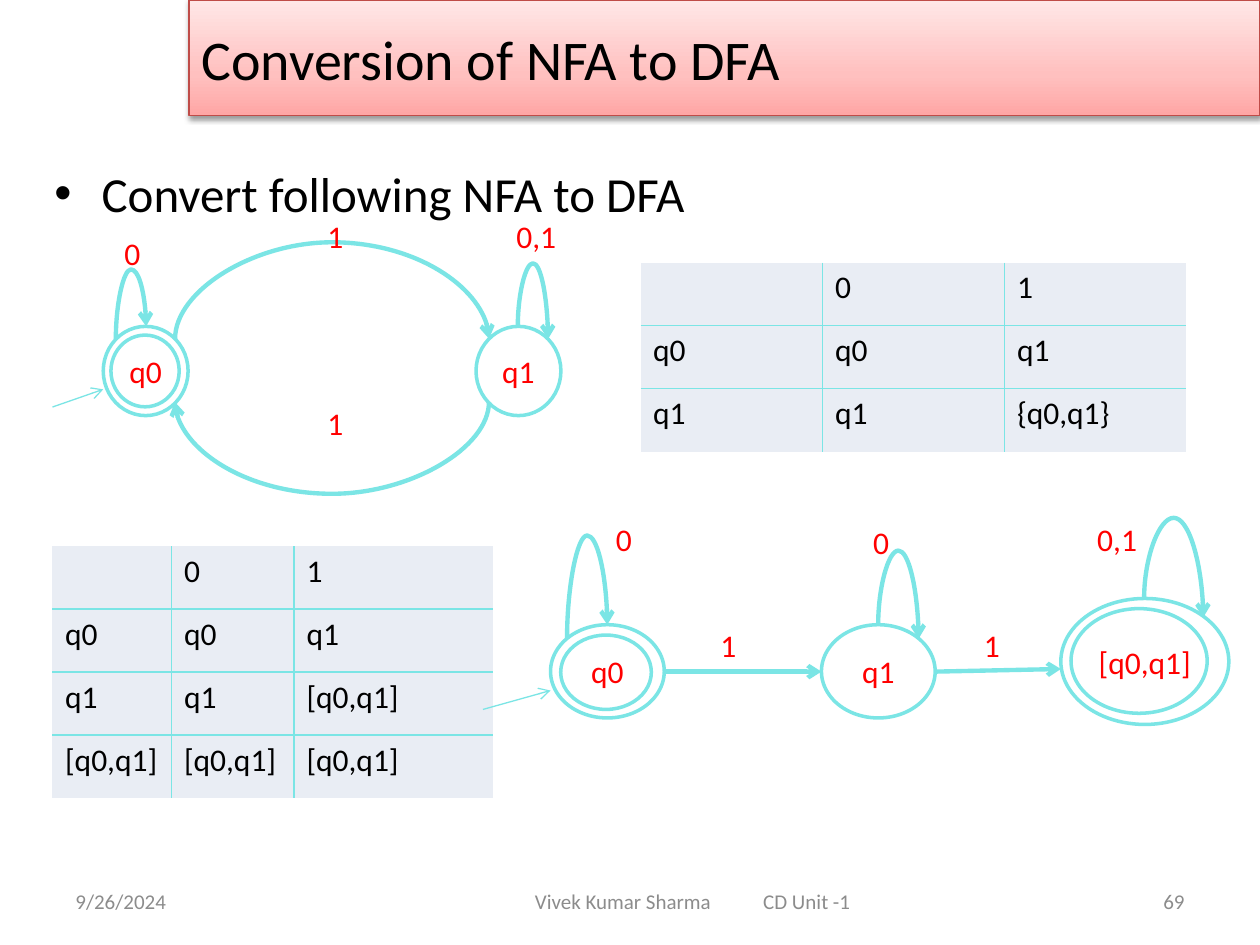
from dataclasses import dataclass

from lxml import etree
from pptx import Presentation
from pptx.dml.color import RGBColor
from pptx.enum.shapes import MSO_CONNECTOR as CXN, MSO_SHAPE as SHAPE
from pptx.enum.text import MSO_ANCHOR as ANCHOR, PP_ALIGN as ALIGN
from pptx.oxml import parse_xml
from pptx.oxml.ns import nsdecls, qn
from pptx.util import Pt


@dataclass(frozen=True)
class Theme:
    font: str = "Calibri"
    ink: str = "000000"
    accent: str = "FF0000"
    stroke: str = "7BE5E5"
    cell: str = "E9EDF4"
    muted: str = "8C8C8C"
    title_line: str = "BF4C48"
    title_stops: tuple = ((0, "FFA6A5"), (35, "FFC0BF"), (100, "FFE7E7"))
    title_size: int = 32
    body_size: int = 28
    text_size: int = 18
    footer_size: int = 12
    thin: float = 0.75
    border: float = 1
    ring: float = 2
    edge: float = 2.5


T = Theme()


def rgb(color):
    return RGBColor.from_string(color)


def write(tf, text, size, color, align=ALIGN.LEFT):
    p = tf.paragraphs[0]
    p.text = text
    p.alignment = align
    p.font.name, p.font.size = T.font, Pt(size)
    p.font.color.rgb = rgb(color)
    return p


def textbox(slide, box, text, size, color, align=ALIGN.LEFT, anchor=ANCHOR.TOP):
    tf = slide.shapes.add_textbox(*map(Pt, box)).text_frame
    tf.word_wrap, tf.vertical_anchor = True, anchor
    return write(tf, text, size, color, align)


def title(slide, box, text):
    sp = slide.shapes.add_shape(SHAPE.RECTANGLE, *map(Pt, box))
    sp.shadow.inherit = False
    sp.line.color.rgb, sp.line.width = rgb(T.title_line), Pt(T.thin)
    stops = "".join(f'<a:gs pos="{pos * 1000}"><a:srgbClr val="{color}"/></a:gs>'
                    for pos, color in T.title_stops)
    props = sp.element.spPr
    props.find(qn("a:prstGeom")).addnext(parse_xml(
        f'<a:gradFill {nsdecls("a")} rotWithShape="1"><a:gsLst>{stops}</a:gsLst>'
        '<a:lin ang="16200000" scaled="1"/></a:gradFill>'))
    props.find(qn("a:effectLst")).append(parse_xml(
        f'<a:outerShdw {nsdecls("a")} blurRad="{Pt(3.1)}" dist="{Pt(1.6)}" dir="5400000" '
        'rotWithShape="0"><a:srgbClr val="000000"><a:alpha val="38000"/></a:srgbClr></a:outerShdw>'))
    sp.text_frame.vertical_anchor = ANCHOR.MIDDLE
    write(sp.text_frame, text, T.title_size, T.ink)


def body(slide, box, text):
    p = textbox(slide, box, text, T.body_size, T.ink)
    props = p._p.get_or_add_pPr()
    props.set("marL", str(Pt(27)))
    props.set("indent", str(-Pt(27)))
    for tag, key, value in (("a:buFont", "typeface", "Arial"), ("a:buChar", "char", "•")):
        bullet = etree.Element(qn(tag), {key: value})
        props.find(qn("a:defRPr")).addprevious(bullet)


def footer(slide, box, parts):
    x, y, w, h = box
    for left, width, text, align in parts:
        textbox(slide, (x + left, y, width, h), text, T.footer_size, T.muted, align, ANCHOR.MIDDLE)


def cell_borders(cell, inner):
    props = cell._tc.get_or_add_tcPr()
    fill = props.find(qn("a:solidFill"))
    for side, drawn in zip("LRTB", inner):
        paint = f'<a:solidFill><a:srgbClr val="{T.stroke}"/></a:solidFill>' if drawn else "<a:noFill/>"
        fill.addprevious(parse_xml(
            f'<a:ln{side} {nsdecls("a")} w="{Pt(T.border)}">{paint}</a:ln{side}>'))


def transition_table(slide, box, widths, rows):
    last_row, last_col = len(rows) - 1, len(widths) - 1
    table = slide.shapes.add_table(len(rows), len(widths), *map(Pt, box)).table
    table.first_row = table.horz_banding = False
    for column, width in zip(table.columns, widths):
        column.width = Pt(width)
    for i, row in enumerate(rows):
        for j, text in enumerate(row):
            cell = table.cell(i, j)
            cell.fill.solid()
            cell.fill.fore_color.rgb = rgb(T.cell)
            cell_borders(cell, (j > 0, j < last_col, i > 0, i < last_row))
            write(cell.text_frame, text, T.text_size, T.ink)


def ellipse(slide, box):
    sp = slide.shapes.add_shape(SHAPE.OVAL, *map(Pt, box))
    sp.shadow.inherit = False
    sp.fill.background()
    sp.line.color.rgb, sp.line.width = rgb(T.stroke), Pt(T.ring)
    return sp


def arrow(slide, start, end, width, kind=CXN.STRAIGHT):
    line = slide.shapes.add_connector(kind, *map(Pt, start + end))
    line.line.color.rgb, line.line.width = rgb(T.stroke), Pt(width)
    etree.SubElement(line.line._get_or_add_ln(), qn("a:tailEnd"), type="arrow")
    etree.SubElement(line.element.spPr, qn("a:effectLst"))
    return line


def arc(slide, start, end, apex):
    (x1, y1), (x2, y2) = start, end
    dx, dy = x2 - x1, y2 - y1
    line = arrow(slide, start, end, T.edge, CXN.CURVE)
    line.width, line.height = Pt(abs(dy)), Pt(abs(dx))
    line.left = Pt((x1 + x2 - abs(dy)) / 2)
    line.top = Pt((y1 + y2 - abs(dx)) / 2)
    falling_right = dx > 0 and dy > 0
    props = line.element.spPr
    xfrm = props.find(qn("a:xfrm"))
    xfrm.set("rot", "16200000" if falling_right else "5400000")
    xfrm.set("flipH", str(int(dx > 0)))
    xfrm.set("flipV", str(int(dx > 0 and not falling_right)))
    guides = props.find(qn("a:prstGeom")).get_or_add_avLst()
    bend = round((apex - y1) / dy * 100000)
    etree.SubElement(guides, qn("a:gd"), name="adj1", fmla=f"val {bend}")


def automaton(slide, origin, states, rings, entry, edges, arcs, labels):
    ox, oy = origin

    def at(point):
        return ox + point[0], oy + point[1]

    for text, box in states:
        tf = ellipse(slide, at(box) + box[2:]).text_frame
        tf.word_wrap, tf.vertical_anchor = False, ANCHOR.MIDDLE
        write(tf, text, T.text_size, T.accent, ALIGN.CENTER)
    for box in rings:
        ellipse(slide, at(box) + box[2:])
    arrow(slide, at(entry[0]), at(entry[1]), T.thin)
    for start, end in edges:
        arrow(slide, at(start), at(end), T.edge)
    for start, end, apex in arcs:
        arc(slide, at(start), at(end), oy + apex)
    for text, point in labels:
        textbox(slide, at(point) + (46, 29), text, T.text_size, T.accent)


def main():
    prs = Presentation()
    prs.slide_width, prs.slide_height = Pt(720), Pt(540)
    slide = prs.slides.add_slide(prs.slide_layouts[6])
    footer(slide, (36, 500.5, 648, 28.75), (
        (0, 168, "9/26/2024", ALIGN.LEFT),
        (250, 140, "Vivek Kumar Sharma", ALIGN.CENTER),
        (385, 80, "CD Unit -1", ALIGN.CENTER),
        (480, 168, "69", ALIGN.RIGHT)))
    title(slide, (108, 0, 612, 66), "Conversion of NFA to DFA")
    body(slide, (24, 90, 660, 396), "Convert following NFA to DFA")
    automaton(
        slide, (30, 120),
        states=(("q0", (29, 66.5, 48.5, 51)), ("q1", (242, 66.5, 48.5, 51))),
        rings=((33.4, 71.5, 39, 41),),
        entry=((0, 112.6), (29, 102.5)),
        edges=(),
        arcs=(((36.2, 73.7), (53.5, 66.5), 34), ((70, 73.7), (249.4, 73.6), 25),
              ((249.4, 109.7), (70, 109.8), 156), ((265.9, 66.5), (283.2, 73.7), 30.5)),
        labels=(("0", (34, 10.3)), ("1", (150, 0.2)), ("0,1", (258, 0.2)), ("1", (150, 107.5))))
    transition_table(slide, (366, 150, 312, 108), (104, 104, 104), (
        ("", "0", "1"), ("q0", "q0", "q1"), ("q1", "q1", "{q0,q1}")))
    transition_table(slide, (30, 312, 252, 144), (68, 70, 114), (
        ("", "0", "1"), ("q0", "q0", "q1"), ("q1", "q1", "[q0,q1]"),
        ("[q0,q1]", "[q0,q1]", "[q0,q1]")))
    automaton(
        slide, (276, 290),
        states=(("q0", (38.6, 67, 65, 53.3)), ("q1", (193.4, 67, 65, 53.3)),
                ("[q0,q1]", (330.2, 52, 96, 72))),
        rings=((44.4, 72.9, 51.8, 42.5), (336, 57.8, 77.8, 59.8)),
        entry=((0, 115.4), (38.6, 104.6)),
        edges=(((103.4, 93.8), (193.4, 93.8)), ((258.4, 93.8), (330.2, 92.3))),
        arcs=(((48, 75), (71, 67), 16), ((225.8, 67), (248.9, 75), 24.6),
              ((377.8, 52), (411.6, 62.8), 5.9)),
        labels=(("0", (68.9, 3.8)), ("0", (215.8, 5.2)), ("0,1", (343.9, 3.8)),
                ("1", (128.6, 64.2)), ("1", (279.1, 64.2))))
    prs.save("out.pptx")


if __name__ == "__main__":
    main()
